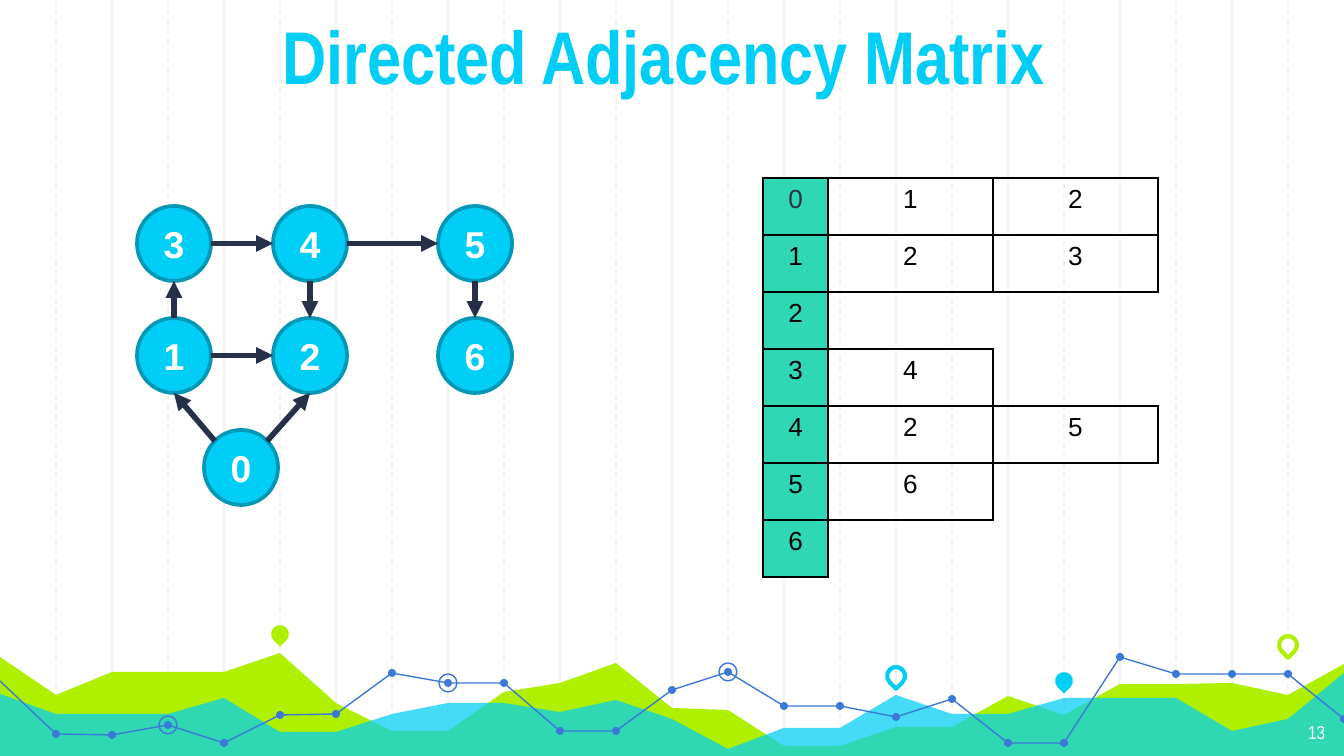
from dataclasses import dataclass
from enum import IntEnum
from math import cos, radians, sin

from lxml.etree import SubElement
from pptx import Presentation
from pptx.dml.color import RGBColor
from pptx.enum.dml import MSO_LINE
from pptx.enum.shapes import MSO_CONNECTOR, MSO_SHAPE
from pptx.enum.text import MSO_ANCHOR, MSO_AUTO_SIZE, PP_ALIGN
from pptx.oxml.ns import qn
from pptx.util import Pt

EMU_PER_PIXEL = 914400 / 134.4
SLIDE_WIDTH, SLIDE_HEIGHT = 1344, 756
GRID_STEP = 56


@dataclass(frozen=True)
class Theme:
    cyan: str = "00CEF6"
    cyan_dark: str = "0098B6"
    lime: str = "AFF000"
    teal: str = "2FD7B4"
    trend: str = "3C78D8"
    grid: str = "F3F3F3"
    ink: str = "263149"
    ink_soft: str = "28324A"
    black: str = "000000"
    white: str = "FFFFFF"
    body_font: str = "Arial"
    display_font: str = "Arial Narrow"
    title_size: int = 40
    node_size: int = 20
    cell_size: int = 14
    number_size: int = 10
    hairline: float = 0.75


THEME = Theme()


class Site(IntEnum):
    TOP = 0
    LEFT = 2
    BOTTOM = 4
    RIGHT = 6
    TOP_RIGHT = 7
    TOP_LEFT = 1


@dataclass(frozen=True)
class Node:
    label: int
    left: int
    row: int


@dataclass(frozen=True)
class Edge:
    source: int
    target: int
    leave: Site
    enter: Site
    color: str = THEME.ink


@dataclass(frozen=True)
class Pin:
    column: int
    middle: int
    color: str
    solid: bool


NODE_WIDTH, NODE_HEIGHT, NODE_TOP, NODE_ROW_STEP = 74, 75, 206, 112
NODES = [Node(3, 137, 0), Node(4, 273, 0), Node(1, 137, 1), Node(2, 273, 1),
         Node(5, 438, 0), Node(6, 438, 1), Node(0, 204, 2)]
EDGES = [Edge(0, 2, Site.TOP_RIGHT, Site.BOTTOM), Edge(0, 1, Site.TOP_LEFT, Site.BOTTOM),
         Edge(1, 2, Site.RIGHT, Site.LEFT), Edge(1, 3, Site.TOP, Site.BOTTOM),
         Edge(4, 2, Site.BOTTOM, Site.TOP, THEME.ink_soft),
         Edge(3, 4, Site.RIGHT, Site.LEFT, THEME.ink_soft),
         Edge(4, 5, Site.RIGHT, Site.LEFT), Edge(5, 6, Site.BOTTOM, Site.TOP)]
PINS = [Pin(5, 634, THEME.lime, True), Pin(16, 676, THEME.cyan, False),
        Pin(19, 681, THEME.cyan, True), Pin(23, 645, THEME.lime, False)]
LIME_RIDGE = [657, 695, 672, 672, 672, 653, 703, 731, 731, 692, 683, 663, 708,
              710, 746, 746, 727, 727, 696, 715, 684, 684, 683, 695, 664]
CYAN_RIDGE = [694, 714, 714, 714, 698, 732, 732, 714, 703, 703, 712, 700, 719,
              749, 728, 728, 695, 714, 714, 698, 698, 698, 731, 719, 673]
TREND = [681, 734, 735, 725, 743, 715, 714, 673, 683, 683, 731, 731, 690,
         672, 706, 706, 717, 699, 743, 743, 657, 674, 674, 674, 719]
RINGED_COLUMNS = [8, 3, 13]
DOT_SIZE, MARKER_SIZE = 8, 18
INDEX_LEFT, INDEX_WIDTH = 763, 65
LIST_LEFT, LIST_WIDTH = 828, 165
TABLE_TOP, ROW_HEIGHT = 178, 57


def px(pixels: float) -> int:
    return round(pixels * EMU_PER_PIXEL)


def rgb(color: str) -> RGBColor:
    return RGBColor.from_string(color)


def paint(shape, fill: str | None, line: str | None = None, width: float = 0) -> None:
    shape.shadow.inherit = False
    if fill:
        shape.fill.solid()
        shape.fill.fore_color.rgb = rgb(fill)
    else:
        shape.fill.background()
    if line:
        shape.line.color.rgb = rgb(line)
        shape.line.width = Pt(width)
    else:
        shape.line.fill.background()


def write(frame, text: str, size: int, color: str, align: PP_ALIGN,
          font: str = THEME.body_font, bold: bool = False) -> None:
    frame.text = text
    paragraph = frame.paragraphs[0]
    paragraph.alignment = align
    run_font = paragraph.runs[0].font
    run_font.name, run_font.size, run_font.bold = font, Pt(size), bold
    run_font.color.rgb = rgb(color)


def set_insets(frame, inset: int) -> None:
    frame.margin_left = frame.margin_right = px(inset)
    frame.margin_top = frame.margin_bottom = px(inset)


def draw_line(shapes, start, end, color: str, width: float):
    line = shapes.add_connector(MSO_CONNECTOR.STRAIGHT, *map(px, (*start, *end)))
    line.line.color.rgb = rgb(color)
    line.line.width = Pt(width)
    SubElement(line.element.spPr, qn("a:effectLst"))
    return line


def draw_grid(shapes) -> None:
    for first, dash in ((2, None), (1, MSO_LINE.DASH)):
        for column in range(first, SLIDE_WIDTH // GRID_STEP, 2):
            x = column * GRID_STEP
            rule = draw_line(shapes, (x, 0), (x, SLIDE_HEIGHT), THEME.grid, THEME.hairline)
            if dash:
                rule.line.dash_style = dash


def draw_profile(shapes, heights: list[int], closed: bool):
    points = [(column * GRID_STEP, y) for column, y in enumerate(heights)]
    if closed:
        points += [(SLIDE_WIDTH, SLIDE_HEIGHT), (0, SLIDE_HEIGHT)]
    builder = shapes.build_freeform(*points[0], scale=EMU_PER_PIXEL)
    builder.add_line_segments(points[1:], close=closed)
    return builder.convert_to_shape()


def add_marker(shapes, preset: MSO_SHAPE, column: int, middle: int, size: int):
    left, top = column * GRID_STEP - size / 2, middle - size / 2
    return shapes.add_shape(preset, px(left), px(top), px(size), px(size))


def draw_landscape(shapes) -> None:
    paint(draw_profile(shapes, LIME_RIDGE, True), THEME.lime)
    cyan_ridge = draw_profile(shapes, CYAN_RIDGE, True)
    paint(cyan_ridge, THEME.cyan)
    tint = cyan_ridge.element.spPr.find(qn("a:solidFill")).find(qn("a:srgbClr"))
    SubElement(tint, qn("a:alpha")).set("val", "73000")
    paint(draw_profile(shapes, TREND, False), None, THEME.trend, THEME.hairline)
    for column, y in list(enumerate(TREND))[1:]:
        paint(add_marker(shapes, MSO_SHAPE.OVAL, column, y, DOT_SIZE), THEME.trend)
    for column in RINGED_COLUMNS:
        ring = add_marker(shapes, MSO_SHAPE.OVAL, column, TREND[column], MARKER_SIZE)
        paint(ring, None, THEME.trend, THEME.hairline)
    for pin in PINS:
        drop = add_marker(shapes, MSO_SHAPE.TEAR, pin.column, pin.middle, MARKER_SIZE)
        drop.adjustments[0] = 1
        drop.rotation = 135
        paint(drop, pin.color if pin.solid else None, None if pin.solid else pin.color, 2.25)


def site_point(node: Node, site: Site) -> tuple[float, float]:
    angle = radians(90 + 45 * site)
    middle = NODE_TOP + node.row * NODE_ROW_STEP + NODE_HEIGHT / 2
    return (node.left + NODE_WIDTH / 2 * (1 + cos(angle)),
            middle - NODE_HEIGHT / 2 * sin(angle))


def draw_graph(shapes) -> None:
    circles = {}
    for node in NODES:
        circle = shapes.add_shape(MSO_SHAPE.OVAL, px(node.left),
                                  px(NODE_TOP + node.row * NODE_ROW_STEP),
                                  px(NODE_WIDTH), px(NODE_HEIGHT))
        paint(circle, THEME.cyan, THEME.cyan_dark, 2)
        circle.text_frame.vertical_anchor = MSO_ANCHOR.MIDDLE
        write(circle.text_frame, str(node.label), THEME.node_size, THEME.white,
              PP_ALIGN.CENTER, bold=True)
        circles[node.label] = circle
    placed = {node.label: node for node in NODES}
    for edge in EDGES:
        arrow = draw_line(shapes, site_point(placed[edge.source], edge.leave),
                          site_point(placed[edge.target], edge.enter), edge.color, 3)
        SubElement(arrow.element.spPr.find(qn("a:ln")), qn("a:tailEnd")).set("type", "triangle")
        glue = arrow.element.nvCxnSpPr.cNvCxnSpPr
        for end, label, site in ((glue.get_or_add_stCxn(), edge.source, edge.leave),
                                 (glue.get_or_add_endCxn(), edge.target, edge.enter)):
            end.id, end.idx = circles[label].shape_id, int(site)


def draw_table(shapes, left: int, top: int, column_width: int, rows: list[list[int]],
               fill: str | None = None):
    row_count, column_count = len(rows), len(rows[0])
    table = shapes.add_table(row_count, column_count, px(left), px(top),
                             px(column_width * column_count), px(ROW_HEIGHT * row_count)).table
    table.first_row = table.horz_banding = False
    for cell, value in zip(table.iter_cells(), (value for row in rows for value in row)):
        write(cell.text_frame, str(value), THEME.cell_size, THEME.black, PP_ALIGN.CENTER)
        properties = cell._tc.get_or_add_tcPr()
        for side in ("lnL", "lnR", "lnT", "lnB"):
            border = SubElement(properties, qn(f"a:{side}"), w=str(Pt(THEME.hairline)))
            SubElement(SubElement(border, qn("a:solidFill")), qn("a:srgbClr"), val=THEME.black)
        if fill:
            cell.fill.solid()
            cell.fill.fore_color.rgb = rgb(fill)
        else:
            cell.fill.background()
    return table


def draw_adjacency(shapes) -> None:
    labels = sorted(node.label for node in NODES)
    index = draw_table(shapes, INDEX_LEFT, TABLE_TOP, INDEX_WIDTH,
                       [[label] for label in labels], THEME.teal)
    first_label = index.cell(0, 0).text_frame.paragraphs[0].runs[0]
    first_label.font.color.rgb = rgb(THEME.ink_soft)
    for label in labels:
        neighbours = sorted(edge.target for edge in EDGES if edge.source == label)
        if neighbours:
            draw_table(shapes, LIST_LEFT, TABLE_TOP + label * ROW_HEIGHT, LIST_WIDTH, [neighbours])


def draw_heading(shapes) -> None:
    heading = shapes.title
    heading.left, heading.top, heading.width, heading.height = map(px, (0, 8, SLIDE_WIDTH, 105))
    frame = heading.text_frame
    frame.auto_size, frame.vertical_anchor = MSO_AUTO_SIZE.NONE, MSO_ANCHOR.BOTTOM
    set_insets(frame, 13)
    write(frame, "Directed Adjacency Matrix ", THEME.title_size, THEME.cyan,
          PP_ALIGN.CENTER, THEME.display_font, True)
    heading.element.getparent().append(heading.element)


def draw_page_number(shapes) -> None:
    frame = shapes.add_textbox(*map(px, (1258, 710, 80, 47))).text_frame
    frame.word_wrap = True
    set_insets(frame, 13)
    write(frame, "13", THEME.number_size, THEME.white, PP_ALIGN.RIGHT, THEME.display_font)


deck = Presentation()
deck.slide_width, deck.slide_height = px(SLIDE_WIDTH), px(SLIDE_HEIGHT)
slide = deck.slides.add_slide(deck.slide_layouts[5])
for draw in (draw_grid, draw_landscape, draw_page_number, draw_heading, draw_graph, draw_adjacency):
    draw(slide.shapes)
deck.save("out.pptx")
